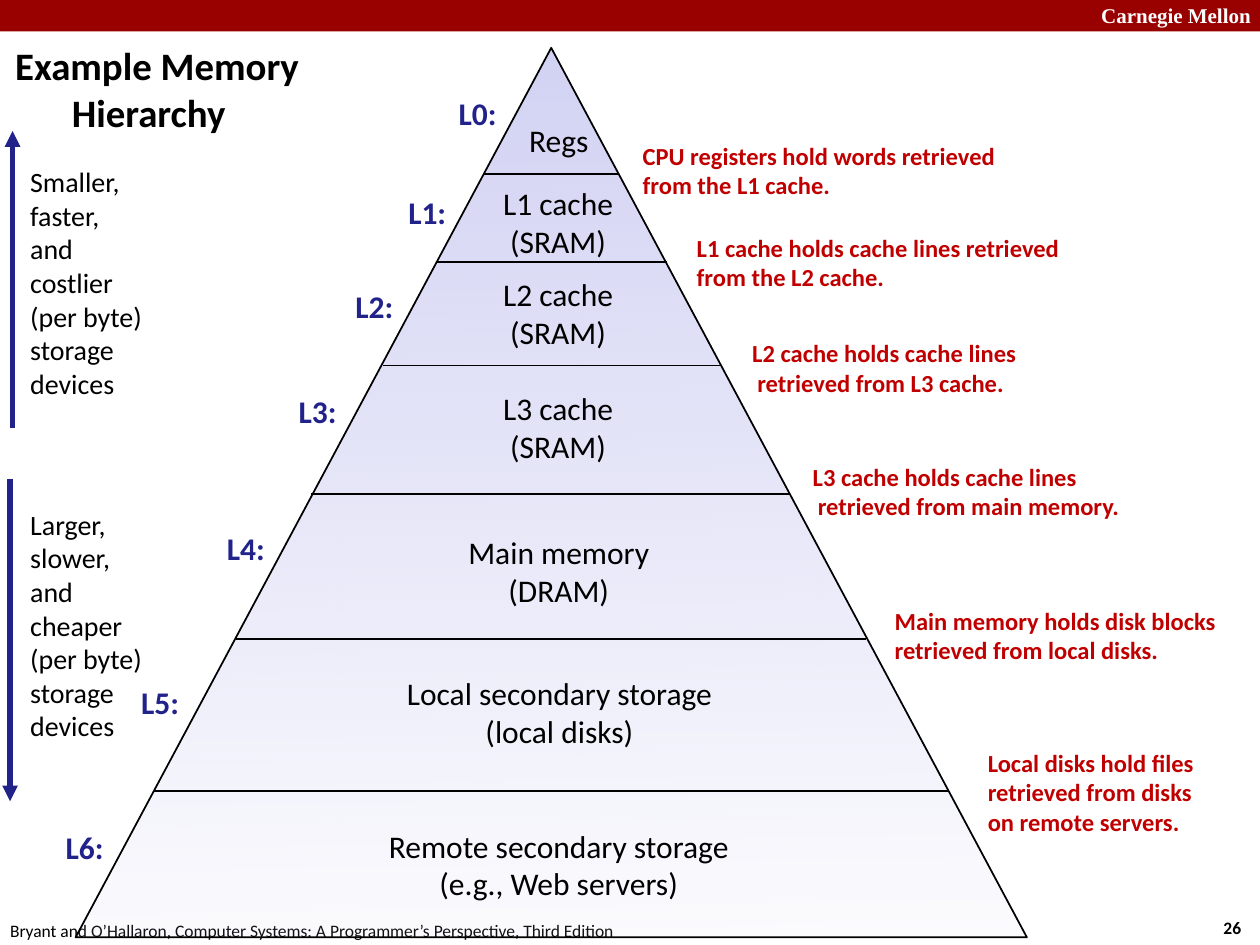
from lxml import etree
from pptx import Presentation
from pptx.dml.color import RGBColor
from pptx.enum.shapes import MSO_CONNECTOR as Connector, MSO_SHAPE as Shape
from pptx.enum.text import MSO_ANCHOR as Anchor, PP_ALIGN as Align
from pptx.oxml.ns import qn
from pptx.util import Inches, Pt

BLACK = RGBColor(0x00, 0x00, 0x00)
WHITE = RGBColor(0xFF, 0xFF, 0xFF)
HEADER_RED = RGBColor(0x99, 0x00, 0x00)
NOTE_RED = RGBColor(0xC0, 0x00, 0x00)
NAVY = RGBColor(0x22, 0x22, 0x8B)
LAVENDER = RGBColor(0xD2, 0xD2, 0xF4)

presentation = Presentation()
presentation.slide_width = Inches(10)
presentation.slide_height = Inches(7.5)
slide = presentation.slides.add_slide(presentation.slide_layouts[5])


def fill_text(shape, lines, size, color=BLACK, bold=False, align=Align.LEFT,
              wrap=False, anchor=Anchor.MIDDLE, font="Calibri"):
    frame = shape.text_frame
    frame.margin_left = frame.margin_right = Inches(0.05)
    frame.margin_top = frame.margin_bottom = Inches(0.05)
    frame.word_wrap = wrap
    frame.vertical_anchor = anchor
    frame.text = "\n".join(lines)
    for paragraph in frame.paragraphs:
        paragraph.alignment = align
        paragraph.font.name = font
        paragraph.font.size = Pt(size)
        paragraph.font.bold = bold
        paragraph.font.color.rgb = color
    return frame


def add_line(x1, y1, x2, y2, color=BLACK, width=1):
    line = slide.shapes.add_connector(
        Connector.STRAIGHT, Inches(x1), Inches(y1), Inches(x2), Inches(y2))
    line.line.color.rgb = color
    line.line.width = Pt(width)
    etree.SubElement(line._element.spPr, qn("a:effectLst"))
    return line


header = slide.shapes.add_shape(Shape.RECTANGLE, 0, 0, Inches(10), Inches(0.25))
header.shadow.inherit = False
header.fill.solid()
header.fill.fore_color.rgb = HEADER_RED
header.line.fill.background()

university = slide.shapes.add_textbox(Inches(8.69), Inches(-0.03), Inches(1.33), Inches(0.3))
fill_text(university, ["Carnegie Mellon"], 12, WHITE, bold=True, wrap=True,
          anchor=Anchor.TOP, font="Times New Roman")
footer = slide.shapes.add_textbox(Inches(0.03), Inches(7.25), Inches(4.92), Inches(0.25))
fill_text(footer, ["Bryant and O’Hallaron, Computer Systems: "
                   "A Programmer’s Perspective, Third Edition"], 10, anchor=Anchor.TOP)
page_number = slide.shapes.add_textbox(Inches(9.66), Inches(7.23), Inches(0.25), Inches(0.25))
fill_text(page_number, ["26"], 10, bold=True, anchor=Anchor.TOP)

title = slide.shapes.title
title.left, title.top = Inches(0.07), Inches(0.27)
title.width, title.height = Inches(9.53), Inches(0.86)
title_frame = fill_text(title, ["Example Memory\vHierarchy"], 22.2, bold=True, wrap=True)
title_properties = title_frame.paragraphs[0]._p.get_or_add_pPr()
title_properties.set("marL", str(Inches(0.45)))
title_properties.set("indent", str(Inches(-0.45)))

pyramid = slide.shapes.add_shape(
    Shape.ISOSCELES_TRIANGLE, Inches(0.6), Inches(0.38), Inches(7.55), Inches(7.06))
pyramid.shadow.inherit = False
pyramid.line.color.rgb = BLACK
pyramid.line.width = Pt(1)
pyramid.fill.gradient()
pyramid.fill.gradient_angle = 91
for stop, position in zip(pyramid.fill.gradient_stops, (0, 1)):
    stop.color.rgb = LAVENDER
    stop.position = position
base_color = next(pyramid._element.spPr.iter(qn("a:srgbClr")))
etree.SubElement(base_color, qn("a:alpha")).set("val", "7000")

dividers = [(3.84, 4.91, 1.38), (3.46, 5.29, 2.08), (3.04, 5.72, 2.9),
            (2.47, 6.27, 3.92), (1.87, 6.87, 5.07), (1.22, 7.53, 6.28)]
for left, right, y in dividers:
    add_line(left, y, right, y)

levels = [
    (4.14, 0.93, 0.59, ["Regs"], 3.59, 0.72),
    (3.91, 1.42, 1.04, ["L1 cache", "(SRAM)"], 3.19, 1.5),
    (3.91, 2.14, 1.04, ["L2 cache", "(SRAM)"], 2.77, 2.25),
    (3.91, 3.05, 1.04, ["L3 cache", "(SRAM)"], 2.32, 3.08),
    (3.66, 4.19, 1.55, ["Main memory", "(DRAM)"], 1.75, 4.17),
    (3.17, 5.31, 2.54, ["Local secondary storage", "(local disks)"], 1.07, 5.39),
    (3.03, 6.52, 2.81, ["Remote secondary storage", "(e.g., Web servers)"], 0.47, 6.54),
]
for number, (left, top, width, lines, label_left, label_top) in enumerate(levels):
    height = 0.36 if len(lines) == 1 else 0.68
    level = slide.shapes.add_textbox(Inches(left), Inches(top), Inches(width), Inches(height))
    fill_text(level, lines, 18, align=Align.CENTER)
    label = slide.shapes.add_textbox(
        Inches(label_left), Inches(label_top), Inches(0.42), Inches(0.36))
    fill_text(label, [f"L{number}:"], 18, NAVY, bold=True)

notes = [
    (5.05, 1.07, 3.09, 0.56, ["CPU registers hold words retrieved from the L1 cache."], 0),
    (5.48, 1.8, 3, 0.56, ["L1 cache holds cache lines retrieved from the L2 cache."], 0),
    (5.92, 2.64, 2.78, 0.56, ["L2 cache holds cache lines", "retrieved from L3 cache."], 0.04),
    (6.4, 3.62, 3.05, 0.56, ["L3 cache holds cache lines", "retrieved from main memory."], 0.04),
    (7.05, 4.76, 2.69, 0.56, ["Main memory holds disk blocks retrieved from local disks."], 0),
    (7.79, 5.88, 2.16, 0.81,
     ["Local disks hold files retrieved from disks", "on remote servers."], 0),
]
for left, top, width, height, lines, indent in notes:
    note = slide.shapes.add_textbox(Inches(left), Inches(top), Inches(width), Inches(height))
    note_frame = fill_text(note, lines, 14, NOTE_RED, bold=True, wrap=True)
    if indent:
        note_frame.paragraphs[1]._p.get_or_add_pPr().set("marL", str(Inches(indent)))

trends = [
    (1.24, ["Smaller,", "faster,", "and", "costlier"], 0.1, 3.4, 1.04),
    (3.96, ["Larger,", "slower,", "and", "cheaper"], 0.08, 3.8, 6.36),
]
for top, lines, x, start, end in trends:
    trend = slide.shapes.add_textbox(Inches(0.19), Inches(top), Inches(1), Inches(2))
    fill_text(trend, lines + ["(per byte)", "storage", "devices"], 16)
    arrow = add_line(x, start, x, end, NAVY, 3)
    etree.SubElement(arrow.line._get_or_add_ln(), qn("a:tailEnd")).set("type", "triangle")

presentation.save("out.pptx")
